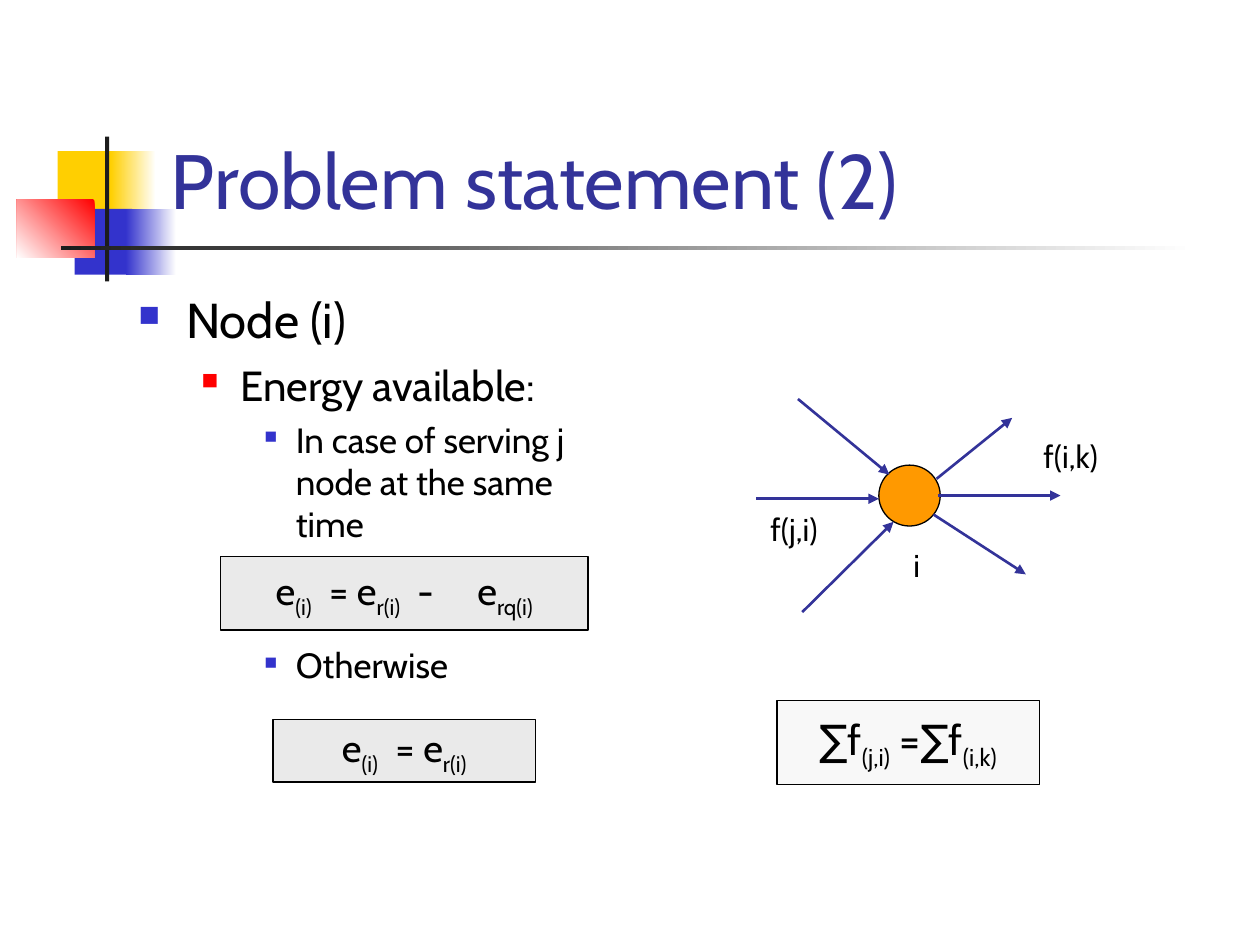
"""Build a slide about the energy and flow balance of a network node."""
from dataclasses import dataclass

from lxml import etree
from pptx import Presentation
from pptx import util as u
from pptx.dml import color
from pptx.enum import shapes, text
from pptx.oxml import ns


@dataclass(frozen=True)
class Theme:
    """Hold the font, the colours and the type sizes."""
    font: str = "Cabin"
    white: str = "FFFFFF"
    black: str = "000000"
    ink: str = "1C1C1C"
    yellow: str = "FFCF01"
    blue: str = "3333CC"
    red: str = "FF0000"
    navy: str = "333399"
    orange: str = "FF9900"
    grey: str = "EAEAEA"
    pale: str = "F8F8F8"
    title: int = 44
    levels: tuple = (28, 24, 20)
    total: int = 24
    formula: int = 22
    label: int = 18


T = Theme()
WIDTH, HEIGHT = u.Inches(10), u.Inches(7.5)
COLUMNS, ROWS = 120, 90
SUB = {"baseline": "-25000"}


def rgb(value):
    """Turn a hex string into a colour."""
    return color.RGBColor.from_string(value)


def x(columns):
    """Turn grid columns into a length."""
    return round(WIDTH * columns / COLUMNS)


def y(rows):
    """Turn grid rows into a length."""
    return round(HEIGHT * rows / ROWS)


def area(left, top, width, height):
    """Turn a grid cell range into a position and a size."""
    return x(left), y(top), x(width), y(height)


def gap(points):
    """Give the character spacing that widens a space."""
    return {"spc": str(points * 100)}


def add_runs(p, runs, size, ink=T.black):
    """Add (text, attributes) runs to a paragraph."""
    for words, attributes in runs:
        r = p.add_run()
        r.text = words
        r.font.name, r.font.size = T.font, u.Pt(size)
        r.font.color.rgb = rgb(ink)
        for name, value in attributes.items():
            r._r.get_or_add_rPr().set(name, value)


def add_shape(s, cells, fill, line=None, kind=shapes.MSO_SHAPE.RECTANGLE):
    """Add a flat shape with an optional thin outline."""
    sp = s.shapes.add_shape(kind, *area(*cells))
    sp.shadow.inherit = False
    sp.fill.solid()
    sp.fill.fore_color.rgb = rgb(fill)
    if line:
        sp.line.color.rgb = rgb(line)
        sp.line.width = u.Pt(0.75)
    else:
        sp.line.fill.background()
    return sp


def add_fade(s, cells, start, angle=0):
    """Add a rectangle that fades to white."""
    sp = add_shape(s, cells, start)
    sp.fill.gradient()
    sp.fill.gradient_angle = angle
    for stop, value in zip(sp.fill.gradient_stops, (start, T.white)):
        stop.color.rgb = rgb(value)


def add_text(s, cells, words, size, ink=T.black, wrap=False, anchor=text.MSO_ANCHOR.TOP):
    """Add a text box with one line."""
    tf = s.shapes.add_textbox(*area(*cells)).text_frame
    tf.word_wrap, tf.vertical_anchor = wrap, anchor
    add_runs(tf.paragraphs[0], [(words, {})], size, ink)


def add_formula(s, cells, fill, size, runs):
    """Add an outlined box with a centred formula."""
    tf = add_shape(s, cells, fill, T.black).text_frame
    tf.word_wrap, tf.vertical_anchor = False, text.MSO_ANCHOR.MIDDLE
    p = tf.paragraphs[0]
    p.alignment = text.PP_ALIGN.CENTER
    add_runs(p, runs, size)


def add_arrow(s, start, end):
    """Add a line with an arrowhead at its end."""
    sp = s.shapes.add_connector(
        shapes.MSO_CONNECTOR.STRAIGHT, x(start[0]), y(start[1]), x(end[0]), y(end[1]))
    sp.line.color.rgb = rgb(T.navy)
    sp.line.width = u.Pt(1.5)
    etree.SubElement(sp.line._get_or_add_ln(), ns.qn("a:tailEnd"), type="triangle")
    etree.SubElement(sp._element.spPr, ns.qn("a:effectLst"))


def add_bullet(p, level):
    """Give a paragraph the square bullet and indent of its level."""
    margin, hang, ink, share = (
        (0.38, 0.38, T.blue, 60), (0.81, 0.31, T.red, 55), (1.25, 0.25, T.blue, 50))[level]
    pPr = p._p.get_or_add_pPr()
    pPr.set("marL", str(u.Inches(margin)))
    pPr.set("indent", str(-u.Inches(hang)))
    tint = etree.SubElement(pPr, ns.qn("a:buClr"))
    etree.SubElement(tint, ns.qn("a:srgbClr"), val=ink)
    etree.SubElement(pPr, ns.qn("a:buSzPct"), val=str(share * 1000))
    etree.SubElement(pPr, ns.qn("a:buChar"), char="■")
    p.level = level


def add_outline(s, cells, items):
    """Add bulleted (level, space before, words) items."""
    tf = s.shapes.add_textbox(*area(*cells)).text_frame
    tf.word_wrap = True
    for i, (level, before, words) in enumerate(items):
        p = tf.add_paragraph() if i else tf.paragraphs[0]
        add_bullet(p, level)
        p.space_before = u.Pt(before)
        add_runs(p, [(words, {})], T.levels[level])


def add_ornament(s):
    """Add the coloured squares and the crossing bars."""
    add_shape(s, (5.5, 14.4, 5.75, 6.25), T.yellow)
    add_fade(s, (10.55, 14.4, 4.3, 6.25), T.yellow)
    add_shape(s, (7.1, 19.9, 5.5, 6.25), T.blue)
    add_fade(s, (12, 19.9, 4.8, 6.25), T.blue)
    add_fade(s, (1.6, 19, 7.4, 5.55), T.red, 225)
    add_shape(s, (10, 13, 0.4, 13.8), T.ink)
    add_fade(s, (5.8, 23.4, 108, 0.4), T.ink)


def add_node(s):
    """Add the node with its incoming and outgoing flows."""
    add_shape(s, (83.7, 44.3, 5.85, 5.8), T.orange, T.black, shapes.MSO_SHAPE.OVAL)
    for start, end in (
            ((76, 38), (84.7, 45.2)), ((72, 47.5), (83.7, 47.5)), ((76.4, 58.3), (85.1, 49.7)),
            ((89.2, 45.6), (96.4, 39.8)), ((89.3, 47.2), (101, 47.2)), ((88.9, 49), (97.7, 54.7))):
        add_arrow(s, start, end)
    for left, top, width, words in (
            (72.2, 48, 7.6, "f(j,i)"), (98.2, 41, 8.4, "f(i,k)"), (85.8, 51.4, 3.1, "i")):
        add_text(s, (left, top, width, 4.8), words, T.label)


def main():
    """Build and save the slide."""
    prs = Presentation()
    prs.slide_width, prs.slide_height = WIDTH, HEIGHT
    s = prs.slides.add_slide(prs.slide_layouts[6])
    add_ornament(s)
    add_text(s, (15.1, 2.8, 102.2, 19.2), "Problem statement (2)", T.title, T.navy,
             True, text.MSO_ANCHOR.BOTTOM)
    add_outline(s, (12, 27, 49, 54), (
        (0, 0, "Node (i)"), (1, 6, "Energy available:"),
        (2, 5, "In case of serving j node at the same time"), (2, 57, "Otherwise")))
    energy = [("e", {}), ("(i)", SUB), (" ", gap(5)), ("= e", {}), ("r(i)", SUB)]
    request = [(" ", gap(5)), ("-", {}), (" ", gap(20)), ("e", {}), ("rq(i)", SUB)]
    balance = [("∑f", {}), ("(j,i)", SUB), (" =∑f", {}), ("(i,k)", SUB)]
    add_formula(s, (74, 66.7, 25, 8), T.pale, T.total, balance)
    add_formula(s, (21, 53, 35, 7), T.grey, T.formula, energy + request)
    add_formula(s, (26, 68.5, 25, 6), T.grey, T.formula, energy)
    add_node(s)
    prs.save("out.pptx")


if __name__ == "__main__":
    main()
